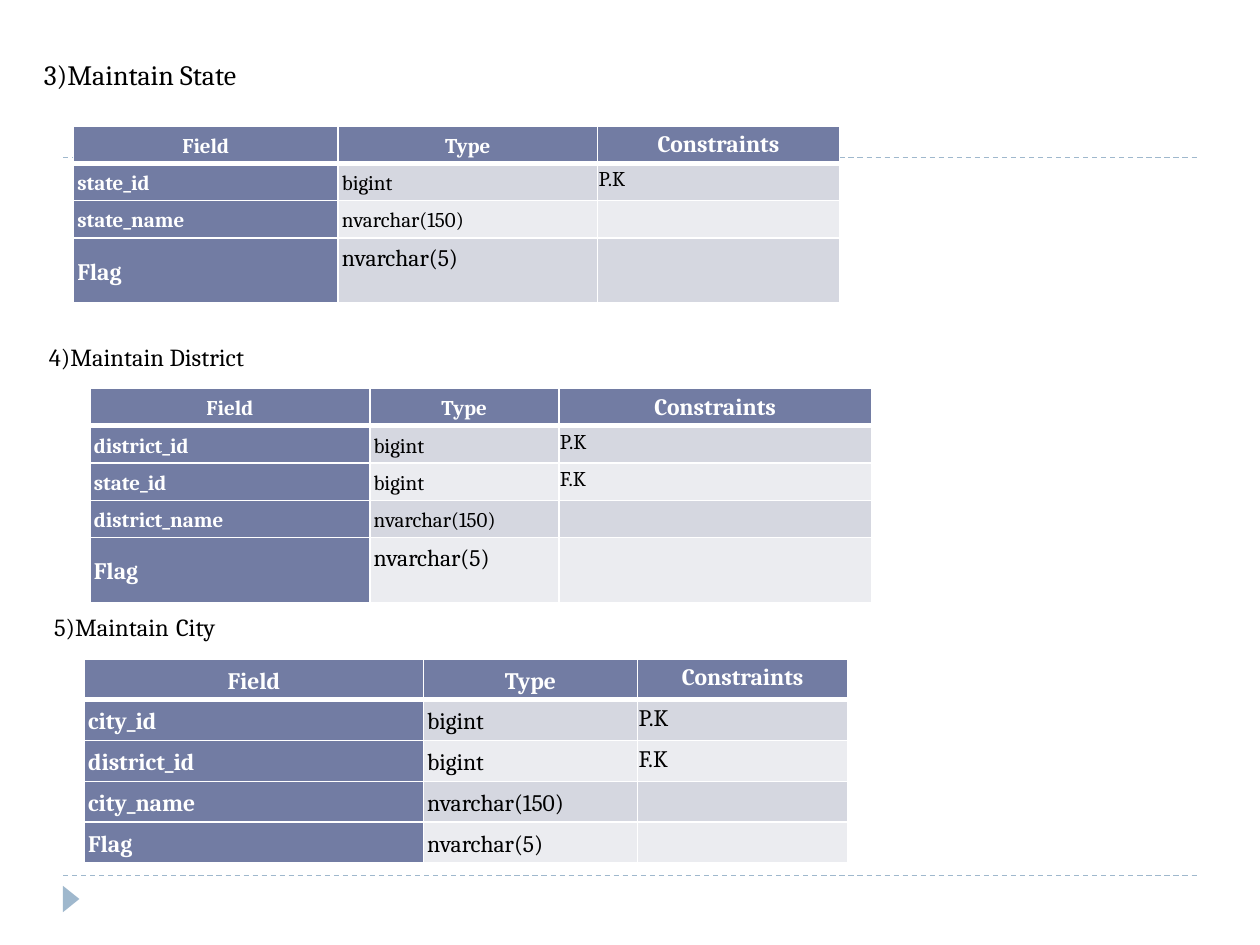
from dataclasses import dataclass

from lxml.etree import SubElement
from pptx import Presentation
from pptx.dml.color import RGBColor
from pptx.enum.dml import MSO_LINE
from pptx.enum.shapes import MSO_CONNECTOR, MSO_SHAPE
from pptx.enum.text import MSO_ANCHOR, PP_ALIGN
from pptx.oxml.ns import qn
from pptx.util import Pt

FONT = "Cambria"
WHITE, BLACK = "FFFFFF", "000000"
HEADER_FILL, ACCENT = "727CA3", "9FB8CD"
BAND_FILLS = ("D5D7E0", "EBECF0")
HEADERS = ("Field", "Type", "Constraints")
LARGE = 13.5


@dataclass(frozen=True)
class Heading:
    runs: tuple[tuple[str, float], ...]
    left: float
    top: float
    width: float
    height: float
    inset_top: float = 3.6
    wrap: bool = False


@dataclass(frozen=True)
class FieldTable:
    left: float
    top: float
    columns: tuple[float, ...]
    row_height: float
    flag_height: float
    size: float
    fields: tuple[tuple[str, str, str], ...]


HEADINGS = (
    Heading((("3)Maintain State", 16),), 18, 7.2, 329.8, 101.5, 25.5, True),
    Heading((("4)Maintain District", 14),), 20.9, 192.2, 129.6, 24.5),
    Heading((("5)Maintain", 14), (" ", 18), ("City", 14)), 23.8, 342, 109.4, 28.8),
)

TABLES = (
    FieldTable(42, 72, (151.2, 148.3, 138.2), 21.3, 37.2, 12, (
        ("state_id", "bigint", "P.K"),
        ("state_name", "nvarchar(150)", ""),
        ("Flag", "nvarchar(5)", ""),
    )),
    FieldTable(51.5, 222, (159.8, 108, 178.6), 21.3, 37.2, 12, (
        ("district_id", "bigint", "P.K"),
        ("state_id", "bigint", "F.K"),
        ("district_name", "nvarchar(150)", ""),
        ("Flag", "nvarchar(5)", ""),
    )),
    FieldTable(48.2, 376.6, (193.7, 122.4, 120.2), 23.3, 23.3, LARGE, (
        ("city_id", "bigint", "P.K"),
        ("district_id", "bigint", "F.K"),
        ("city_name", "nvarchar(150)", ""),
        ("Flag", "nvarchar(5)", ""),
    )),
)


def color(value: str) -> RGBColor:
    return RGBColor.from_string(value)


def add_run(paragraph, text: str, size: float, text_color: str, bold: bool = False) -> None:
    run = paragraph.add_run()
    run.text = text
    run.font.color.rgb = color(text_color)
    for name, value in {"name": FONT, "size": Pt(size), "bold": bold}.items():
        setattr(run.font, name, value)


def set_margins(target, inset: float) -> None:
    for side in ("left", "right", "top", "bottom"):
        setattr(target, f"margin_{side}", Pt(inset))


def add_borders(cell, widths: dict[str, float]) -> None:
    """Put white edge lines ahead of the cell's fill, in schema order."""
    properties = cell._tc.get_or_add_tcPr()
    for index, (edge, width) in enumerate(widths.items()):
        line = SubElement(properties, qn(f"a:ln{edge}"), w=str(Pt(width)))
        solid = SubElement(line, qn("a:solidFill"))
        SubElement(solid, qn("a:srgbClr"), val=WHITE)
        properties.insert(index, line)


def add_rule(slide, y: float) -> None:
    rule = slide.shapes.add_connector(MSO_CONNECTOR.STRAIGHT, Pt(36), Pt(y), Pt(684), Pt(y))
    rule.line.color.rgb = color(ACCENT)
    rule.line.width = Pt(0.75)
    rule.line.dash_style = MSO_LINE.DASH
    SubElement(rule._element.spPr, qn("a:effectLst"))


def add_marker(slide) -> None:
    marker = slide.shapes.add_shape(
        MSO_SHAPE.ISOSCELES_TRIANGLE, Pt(33.1), Pt(509), Pt(15.1), Pt(9.4))
    marker.rotation = 90
    marker.shadow.inherit = False
    marker.fill.solid()
    marker.fill.fore_color.rgb = color(ACCENT)
    marker.line.fill.background()


def add_heading(slide, heading: Heading) -> None:
    box = slide.shapes.add_textbox(
        Pt(heading.left), Pt(heading.top), Pt(heading.width), Pt(heading.height))
    frame = box.text_frame
    frame.word_wrap = heading.wrap
    frame.margin_top = Pt(heading.inset_top)
    for text, size in heading.runs:
        add_run(frame.paragraphs[0], text, size, BLACK)


def fill_cell(cell, text: str, row: int, column: int, size: float, tall: bool) -> None:
    is_header, is_label = row == 0, column == 0
    dark = is_header or is_label
    cell.fill.solid()
    cell.fill.fore_color.rgb = color(HEADER_FILL if dark else BAND_FILLS[(row - 1) % 2])
    add_borders(cell, {"L": 1, "R": 1, "T": 3 if row == 1 else 1, "B": 3 if is_header else 1})
    set_margins(cell, 0.7 if column == 2 else 2.2)
    top_aligned = column == 2 or (tall and column == 1)
    cell.vertical_anchor = MSO_ANCHOR.TOP if top_aligned else MSO_ANCHOR.MIDDLE
    paragraph = cell.text_frame.paragraphs[0]
    paragraph.line_spacing = 1.15
    paragraph.alignment = PP_ALIGN.CENTER if is_header else PP_ALIGN.LEFT
    if text:
        add_run(paragraph, text, size, WHITE if dark else BLACK, dark)
    else:
        SubElement(paragraph._p, qn("a:endParaRPr"), sz="1200")


def add_field_table(slide, data: FieldTable) -> None:
    rows = (HEADERS, *data.fields)
    heights = [data.row_height] * (len(rows) - 1) + [data.flag_height]
    table = slide.shapes.add_table(
        len(rows), len(HEADERS), Pt(data.left), Pt(data.top),
        Pt(sum(data.columns)), Pt(sum(heights))).table
    table.first_row = table.horz_banding = False
    for column, width in zip(table.columns, data.columns):
        column.width = Pt(width)
    for row_index, (texts, height) in enumerate(zip(rows, heights)):
        table.rows[row_index].height = Pt(height)
        for column_index, text in enumerate(texts):
            large = texts[0] == "Flag" or text == "Constraints"
            fill_cell(table.cell(row_index, column_index), text, row_index, column_index,
                      LARGE if large else data.size, height > data.row_height)


def main() -> None:
    presentation = Presentation()
    presentation.slide_width, presentation.slide_height = Pt(720), Pt(540)
    slide = presentation.slides.add_slide(presentation.slide_layouts[6])
    for y in (500.4, 90):
        add_rule(slide, y)
    add_marker(slide)
    for heading, table in zip(HEADINGS, TABLES):
        add_heading(slide, heading)
        add_field_table(slide, table)
    presentation.save("out.pptx")


if __name__ == "__main__":
    main()
